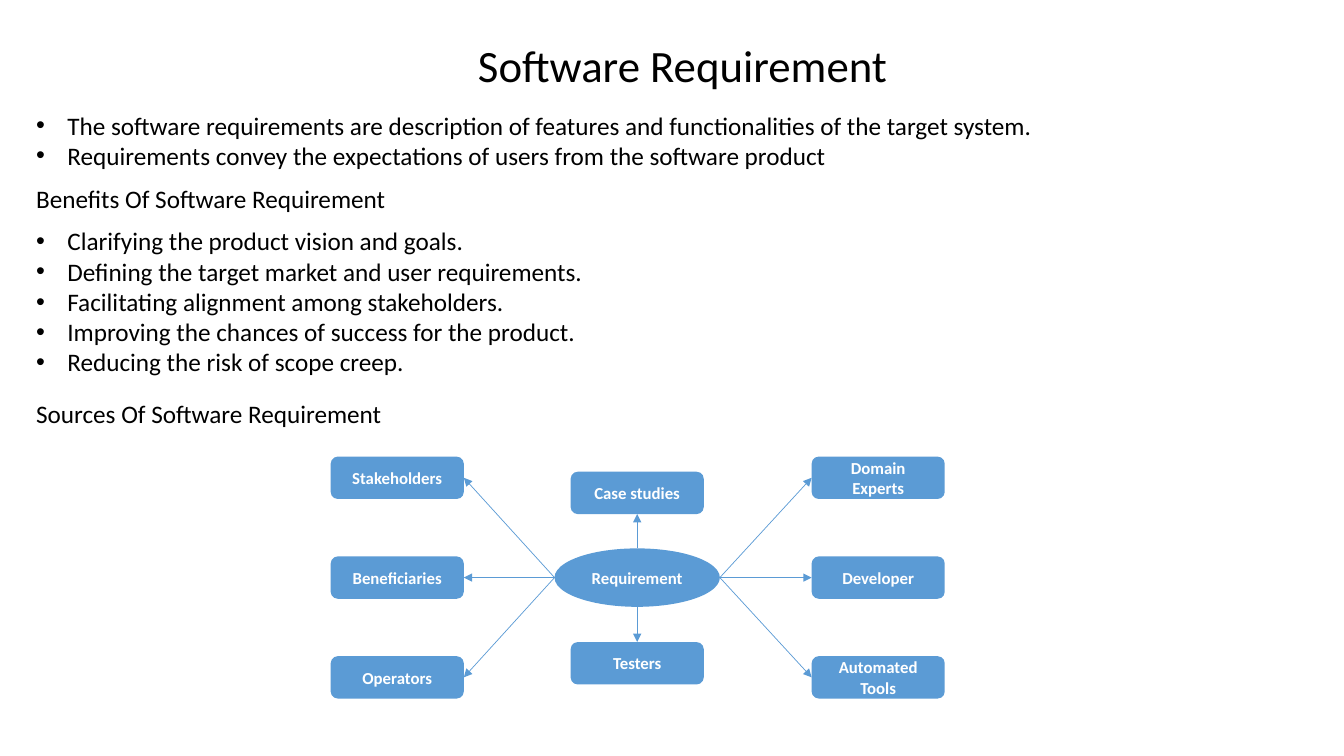
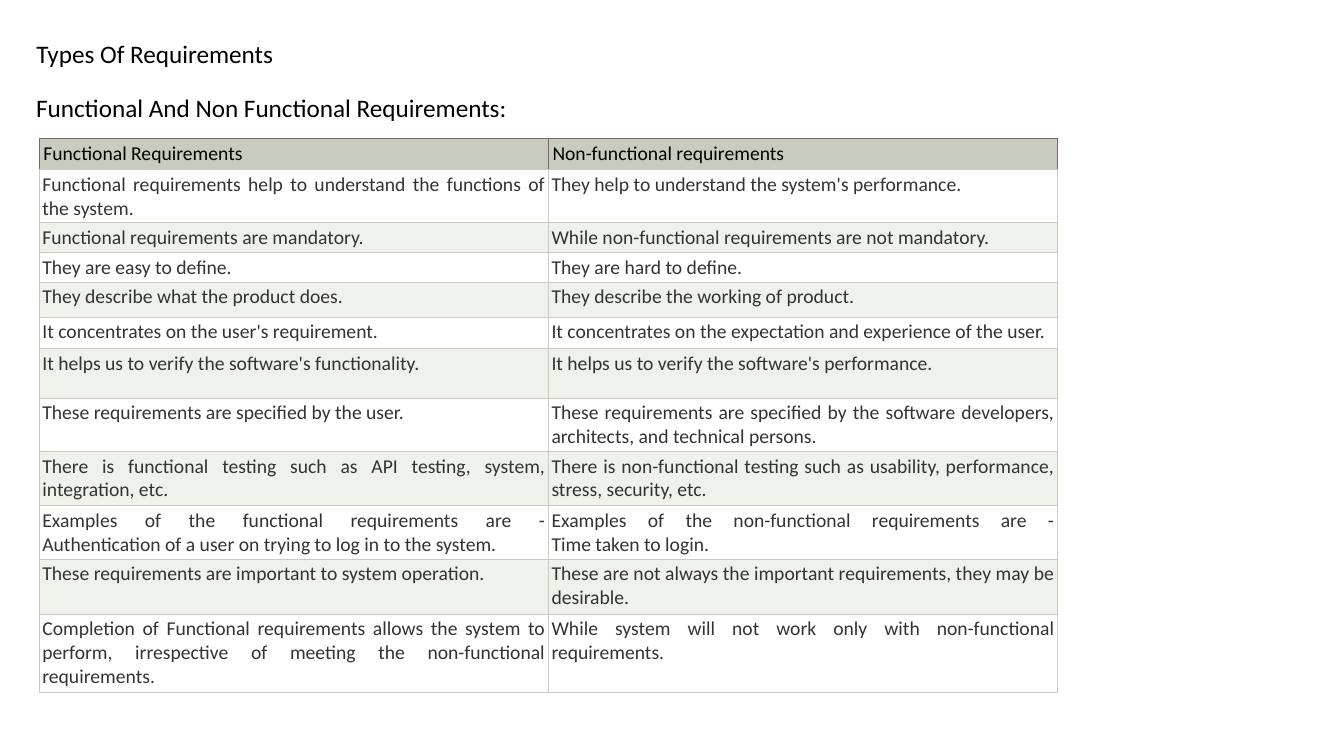
from dataclasses import dataclass

from lxml.etree import SubElement
from pptx import Presentation
from pptx.dml.color import RGBColor
from pptx.enum.shapes import MSO_CONNECTOR as Conn, MSO_SHAPE as Geo
from pptx.enum.text import MSO_ANCHOR as Anchor, MSO_AUTO_SIZE as Auto, PP_ALIGN as Align
from pptx.oxml import parse_xml
from pptx.oxml.ns import nsdecls, qn
from pptx.util import Emu, Pt

FONT = "Calibri"
COLORS = {
    "text": "000000",
    "cell": "333333",
    "white": "FFFFFF",
    "node": "5B9BD5",
    "header": "C7CCBE",
    "band": "EFF1EB",
    "header_edge": "806070",
}
LEFT = 26
INDENT = 31
TITLE_ONLY = 5
TOP, LEFT_SIDE, BOTTOM, RIGHT_SIDE = range(4)


@dataclass(frozen=True)
class Box:
    x: int
    y: int
    w: int
    h: int


@dataclass(frozen=True)
class TextBlock:
    box: Box
    lines: tuple[str, ...]
    bullets: bool = False
    wrap: bool = False


@dataclass(frozen=True)
class Node:
    label: str
    x: int
    y: int
    side: int


NODE_W, NODE_H = 132, 42
NODE_TOP, NODE_PITCH = 453, 99
HUB = Box(550, 544, 164, 58)
HUB_X, HUB_Y = HUB.x + HUB.w // 2, HUB.y + HUB.h // 2
HUB_EXITS = {
    RIGHT_SIDE: (HUB.x, HUB_Y),
    LEFT_SIDE: (HUB.x + HUB.w, HUB_Y),
    BOTTOM: (HUB_X, HUB.y),
    TOP: (HUB_X, HUB.y + HUB.h),
}
COLUMNS = (
    (328, RIGHT_SIDE, ("Stakeholders", "Beneficiaries", "Operators")),
    (805, LEFT_SIDE, ("Domain Experts", "Developer", "Automated Tools")),
)
NODES = [
    Node(label, x, NODE_TOP + i * NODE_PITCH, side)
    for x, side, labels in COLUMNS
    for i, label in enumerate(labels)
] + [
    Node("Case studies", HUB_X - NODE_W // 2, 468, BOTTOM),
    Node("Testers", HUB_X - NODE_W // 2, 637, TOP),
]

BLOCKS = [
    TextBlock(Box(LEFT, 104, 1248, 71), (
        "The software requirements are description of features and functionalities of the target system.",
        "Requirements convey the expectations of users from the software product",
    ), bullets=True, wrap=True),
    TextBlock(Box(LEFT, 177, 371, 40), ("Benefits Of Software Requirement",)),
    TextBlock(Box(LEFT, 219, 569, 162), (
        "Clarifying the product vision and goals.",
        "Defining the target market and user requirements.",
        "Facilitating alignment among stakeholders.",
        "Improving the chances of success for the product.",
        "Reducing the risk of scope creep.",
    ), bullets=True),
    TextBlock(Box(LEFT, 390, 367, 40), ("Sources Of Software Requirement",)),
]

TABLE_X, TABLE_Y, COL_W = 39, 137, 505
ROWS = [
    (29, "Functional Requirements", "Non-functional requirements"),
    (52, "Functional requirements help to understand the functions of the system.",
     "They help to understand the system's performance."),
    (29, "Functional requirements are mandatory.",
     "While non-functional requirements are not mandatory."),
    (27, "They are easy to define.", "They are hard to define."),
    (35, "They describe what the product does.", "They describe the working of product."),
    (31, "It concentrates on the user's requirement.",
     "It concentrates on the expectation and experience of the user."),
    (49, "It helps us to verify the software's functionality.",
     "It helps us to verify the software's performance."),
    (53, "These requirements are specified by the user.",
     "These requirements are specified by the software developers, architects, and technical persons."),
    (54, "There is functional testing such as API testing, system, integration, etc.",
     "There is non-functional testing such as usability, performance, stress, security, etc."),
    (49, "Examples of the functional requirements are -\n"
         "Authentication of a user on trying to log in to the system.",
     "Examples of the non-functional requirements are -\nTime taken to login."),
    (55, "These requirements are important to system operation.",
     "These are not always the important requirements, they may be desirable."),
    (77, "Completion of Functional requirements allows the system to perform, "
         "irrespective of meeting the non-functional requirements.",
     "While system will not work only with non-functional requirements."),
]


def px(n: int) -> Emu:
    return Emu(n * 9144)


def rgb(name: str) -> RGBColor:
    return RGBColor.from_string(COLORS[name])


def frame(box: Box) -> tuple[Emu, Emu, Emu, Emu]:
    return px(box.x), px(box.y), px(box.w), px(box.h)


def add_run(p, text: str, size: int, color: str = "text", bold: bool = False) -> None:
    r = p.add_run()
    r.text = text
    r.font.name = FONT
    r.font.size = Pt(size)
    r.font.bold = bold
    r.font.color.rgb = rgb(color)


def add_bullet(p) -> None:
    pPr = p._p.get_or_add_pPr()
    pPr.set("marL", str(px(INDENT)))
    pPr.set("indent", str(-px(INDENT)))
    SubElement(pPr, qn("a:buFont")).set("typeface", "Arial")
    SubElement(pPr, qn("a:buChar")).set("char", "•")


def add_titled_slide(prs, text: str, box: Box, size: int):
    s = prs.slides.add_slide(prs.slide_layouts[TITLE_ONLY])
    sp = s.shapes.title
    sp.left, sp.top, sp.width, sp.height = frame(box)
    tf = sp.text_frame
    tf.word_wrap = False
    tf.auto_size = Auto.SHAPE_TO_FIT_TEXT
    tf.vertical_anchor = Anchor.TOP
    p = tf.paragraphs[0]
    p.alignment = Align.LEFT
    add_run(p, text, size)
    return s


def add_text(s, block: TextBlock) -> None:
    tf = s.shapes.add_textbox(*frame(block.box)).text_frame
    tf.word_wrap = block.wrap
    tf.auto_size = Auto.SHAPE_TO_FIT_TEXT
    for i, line in enumerate(block.lines):
        p = tf.add_paragraph() if i else tf.paragraphs[0]
        if block.bullets:
            add_bullet(p)
        add_run(p, line, 18)


def add_label_shape(s, geo: Geo, box: Box, label: str):
    sp = s.shapes.add_shape(geo, *frame(box))
    sp.shadow.inherit = False
    sp.fill.solid()
    sp.fill.fore_color.rgb = rgb("node")
    sp.line.fill.background()
    tf = sp.text_frame
    tf.word_wrap = True
    tf.vertical_anchor = Anchor.MIDDLE
    p = tf.paragraphs[0]
    p.alignment = Align.CENTER
    add_run(p, label, 12, "white", bold=True)
    return sp


def add_arrow(s, start: tuple[int, int], target, side: int) -> None:
    x, y = map(px, start)
    line = s.shapes.add_connector(Conn.STRAIGHT, x, y, x, y)
    line.end_connect(target, side)
    line.line.color.rgb = rgb("node")
    line.line.width = Pt(0.5)
    SubElement(line.line._get_or_add_ln(), qn("a:tailEnd")).set("type", "triangle")
    SubElement(line._element.spPr, qn("a:effectLst"))


def set_borders(cell, edge: str, bottom: str) -> None:
    tcPr = cell._tc.get_or_add_tcPr()
    sides = (("lnL", edge), ("lnR", edge), ("lnT", edge), ("lnB", bottom))
    for i, (tag, color) in enumerate(sides):
        tcPr.insert(i, parse_xml(
            f'<a:{tag} {nsdecls("a")} w="{Pt(0.6)}"><a:solidFill>'
            f'<a:srgbClr val="{COLORS[color]}"/></a:solidFill></a:{tag}>'
        ))


def fill_cell(cell, text: str, row: int) -> None:
    header = row == 0
    inset = px(4 if header else 3)
    cell.margin_left = cell.margin_right = cell.margin_top = cell.margin_bottom = inset
    cell.fill.solid()
    cell.fill.fore_color.rgb = rgb("header" if header else "white" if row % 2 else "band")
    set_borders(cell, "header_edge" if header else "header", "header")
    p = cell.text_frame.paragraphs[0]
    p.alignment = Align.LEFT if header else Align.JUSTIFY
    for i, line in enumerate(text.split("\n")):
        if i:
            p.add_line_break()
        add_run(p, line, 14, "text" if header else "cell")


def add_comparison(s) -> None:
    box = Box(TABLE_X, TABLE_Y, 2 * COL_W, sum(row[0] for row in ROWS))
    table = s.shapes.add_table(len(ROWS), 2, *frame(box)).table
    table.horz_banding = table.first_row = False
    for col in table.columns:
        col.width = px(COL_W)
    for i, (height, *texts) in enumerate(ROWS):
        table.rows[i].height = px(height)
        for j, text in enumerate(texts):
            fill_cell(table.cell(i, j), text, i)


def build_requirement_slide(prs) -> None:
    s = add_titled_slide(prs, "Software Requirement", Box(464, 32, 431, 64), 32)
    for block in BLOCKS:
        add_text(s, block)
    add_label_shape(s, Geo.OVAL, HUB, "Requirement")
    for node in NODES:
        box = Box(node.x, node.y, NODE_W, NODE_H)
        sp = add_label_shape(s, Geo.ROUNDED_RECTANGLE, box, node.label)
        add_arrow(s, HUB_EXITS[node.side], sp, node.side)


def build_types_slide(prs) -> None:
    s = add_titled_slide(prs, "Types Of Requirements", Box(LEFT, 33, 258, 40), 18)
    add_text(s, TextBlock(
        Box(LEFT, 87, 1230, 40), ("Functional And Non Functional Requirements:",), wrap=True
    ))
    add_comparison(s)


def main() -> None:
    prs = Presentation()
    prs.slide_width, prs.slide_height = px(1333), px(750)
    build_requirement_slide(prs)
    build_types_slide(prs)
    prs.save("out.pptx")


if __name__ == "__main__":
    main()
